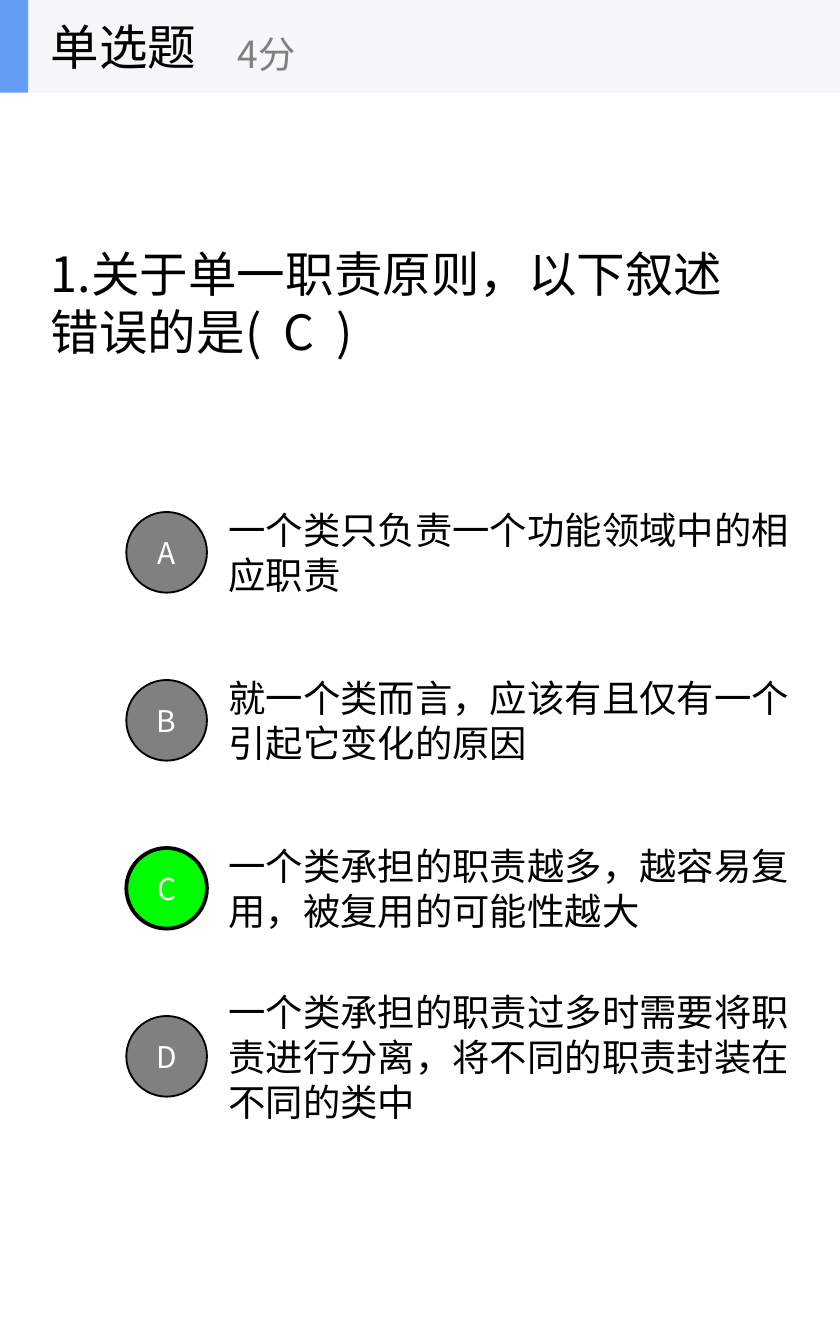
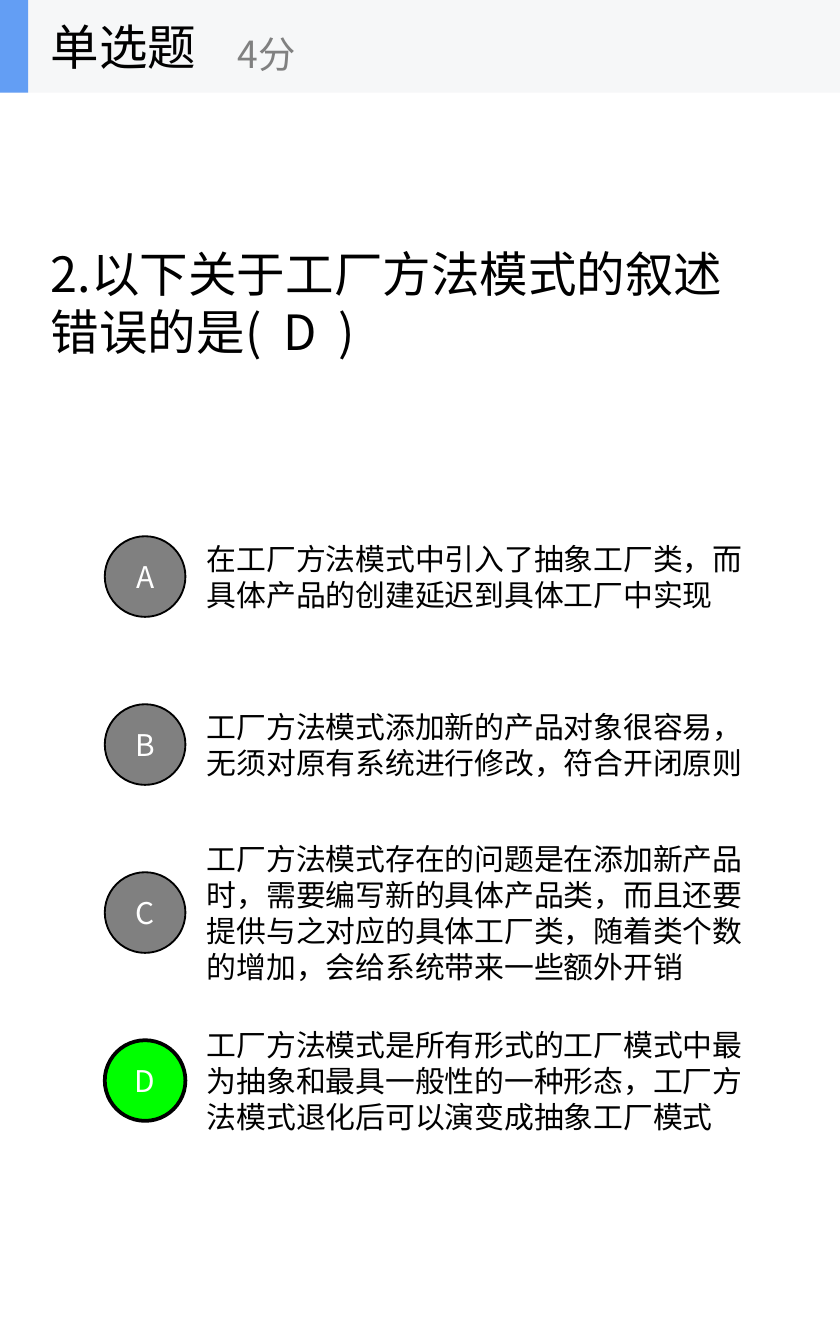
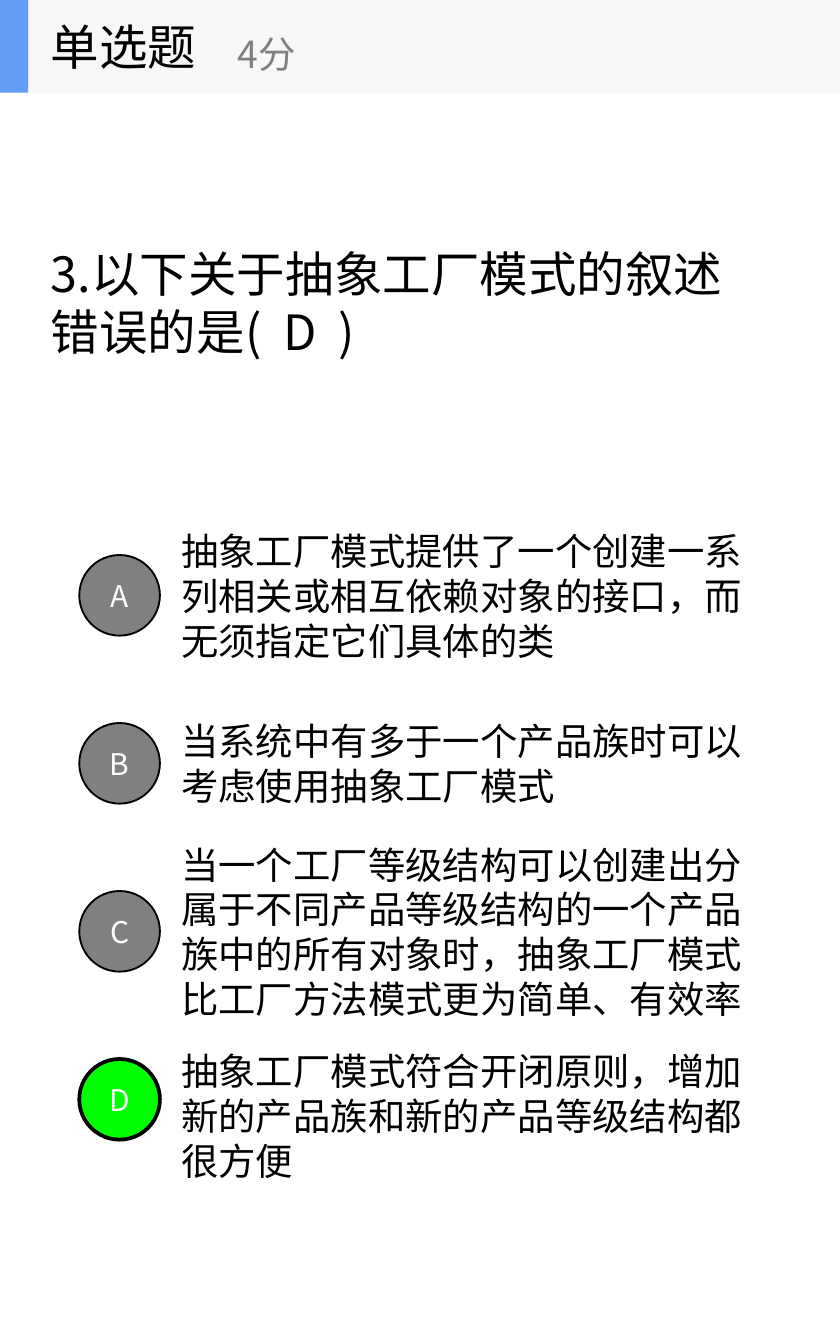
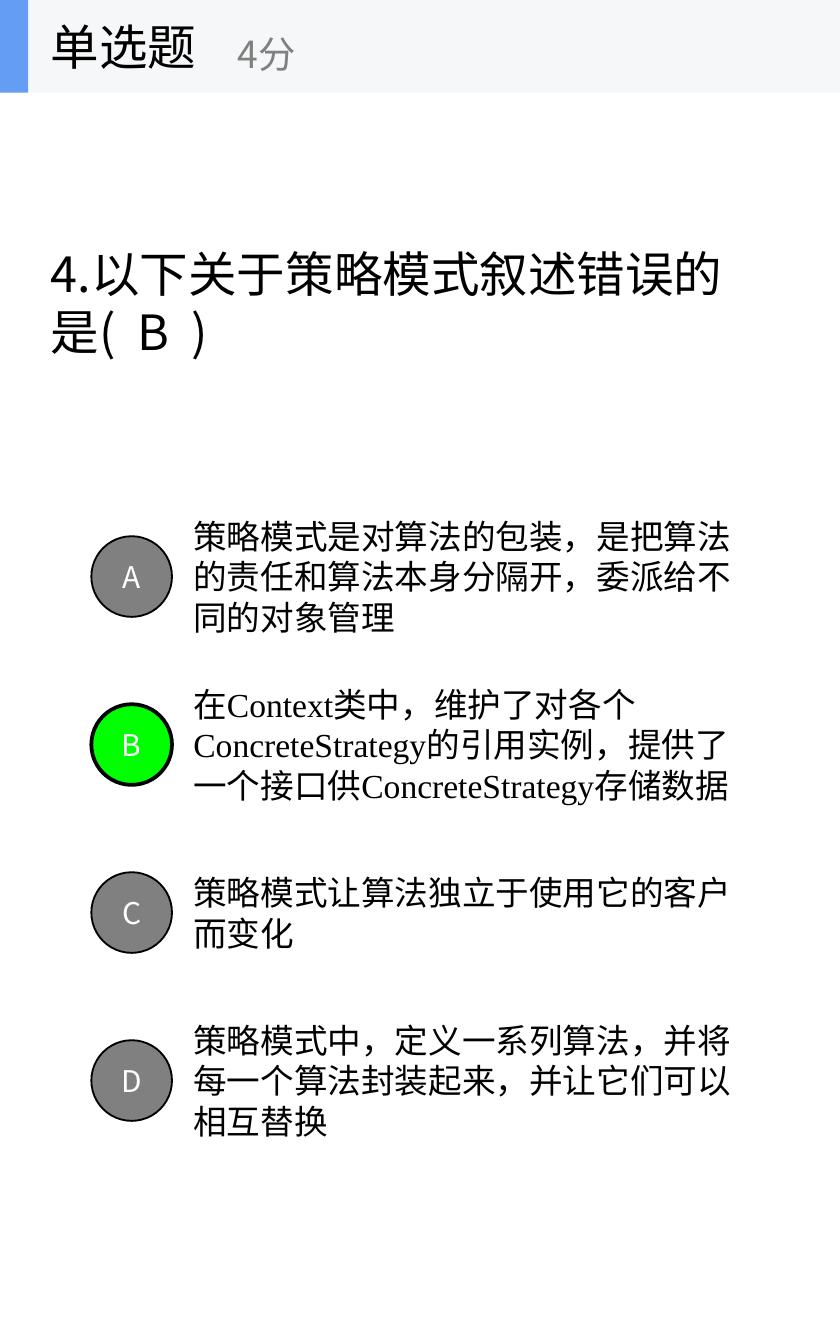
from dataclasses import dataclass

from lxml import etree
from pptx import Presentation
from pptx import util as u
from pptx.dml.color import RGBColor
from pptx.enum import lang, shapes, text
from pptx.oxml import ns


@dataclass(frozen=True)
class Theme:
    ink: str = "000000"
    muted: str = "808080"
    correct: str = "00FF00"
    inverse: str = "FFFFFF"
    band: str = "F6F7F8"
    accent: str = "639EF4"
    font: str = "Noto Sans CJK SC"
    latin_serif: str = "Times New Roman"
    title_size: int = 26
    points_size: int = 20
    badge_size: int = 16


@dataclass(frozen=True)
class Question:
    stem: str
    answer: str
    options: tuple
    left: float
    top: float
    size: int = 20
    font: str = "Noto Sans CJK SC"
    last_shift: float = 0


THEME = Theme()
SLIDE_WIDTH, SLIDE_HEIGHT = 6.25, 10
HEADER_HEIGHT = 0.69
TEXT_LEFT = 0.28
OPTION_STEP = 1.25
BADGE_DIAMETER = 0.6
BADGE_TO_TEXT = 0.66
BADGE_DROP = 0.17

QUESTIONS = (
    Question("1.关于单一职责原则，以下叙述错误的是(  C  )", "C", (
        "一个类只负责一个功能领域中的相应职责",
        "就一个类而言，应该有且仅有一个引起它变化的原因",
        "一个类承担的职责越多，越容易复用，被复用的可能性越大",
        "一个类承担的职责过多时需要将职责进行分离，将不同的职责封装在不同的类中",
    ), left=1.6, top=3.64),
    Question("2.以下关于工厂方法模式的叙述错误的是(  D  )", "D", (
        "在工厂方法模式中引入了抽象工厂类，而具体产品的创建延迟到具体工厂中实现",
        "工厂方法模式添加新的产品对象很容易，无须对原有系统进行修改，符合开闭原则",
        "工厂方法模式存在的问题是在添加新产品时，需要编写新的具体产品类，而且还要"
        "提供与之对应的具体工厂类，随着类个数的增加，会给系统带来一些额外开销",
        "工厂方法模式是所有形式的工厂模式中最为抽象和最具一般性的一种形态，"
        "工厂方法模式退化后可以演变成抽象工厂模式",
    ), left=1.44, top=3.82, size=16),
    Question("3.以下关于抽象工厂模式的叙述错误的是(  D  )", "D", (
        "抽象工厂模式提供了一个创建一系列相关或相互依赖对象的接口，而无须指定它们具体的类",
        "当系统中有多于一个产品族时可以考虑使用抽象工厂模式",
        "当一个工厂等级结构可以创建出分属于不同产品等级结构的一个产品族中的所有对象时，"
        "抽象工厂模式比工厂方法模式更为简单、有效率",
        "抽象工厂模式符合开闭原则，增加新的产品族和新的产品等级结构都很方便",
    ), left=1.25, top=3.96, last_shift=0.12),
    Question("4.以下关于策略模式叙述错误的是(  B  )", "B", (
        "策略模式是对算法的包装，是把算法的责任和算法本身分隔开，委派给不同的对象管理",
        "在Context类中，维护了对各个ConcreteStrategy的引用实例，"
        "提供了一个接口供ConcreteStrategy存储数据",
        "策略模式让算法独立于使用它的客户而变化",
        "策略模式中，定义一系列算法，并将每一个算法封装起来，并让它们可以相互替换",
    ), left=1.34, top=3.82, size=18, font=THEME.latin_serif),
)


def inches(*lengths):
    return [u.Inches(length) for length in lengths]


def write(frame, words, *, size, color=THEME.ink, font=THEME.font,
          align=text.PP_ALIGN.LEFT, wrap=True):
    frame.word_wrap = wrap
    frame.vertical_anchor = text.MSO_ANCHOR.MIDDLE
    paragraph = frame.paragraphs[0]
    paragraph.alignment = align
    run = paragraph.add_run()
    run.text = words
    run.font.size = u.Pt(size)
    run.font.name = font
    run.font.color.rgb = RGBColor.from_string(color)
    run.font.language_id = lang.MSO_LANGUAGE_ID.SIMPLIFIED_CHINESE
    east_asian = etree.SubElement(run._r.get_or_add_rPr(), ns.qn("a:ea"))
    east_asian.set("typeface", THEME.font)


def add_label(parent, words, place, **style):
    write(parent.add_textbox(*inches(*place)).text_frame, words, **style)


def add_filled(parent, kind, place, fill, line_width=0):
    figure = parent.add_shape(kind, *inches(*place))
    figure.shadow.inherit = False
    figure.fill.solid()
    figure.fill.fore_color.rgb = RGBColor.from_string(fill)
    if line_width:
        figure.line.color.rgb = RGBColor.from_string(THEME.ink)
        figure.line.width = u.Pt(line_width)
    else:
        figure.line.fill.background()
    return figure


def add_header(slide):
    header = slide.shapes.add_group_shape().shapes
    for width, fill in ((SLIDE_WIDTH, THEME.band), (0.21, THEME.accent)):
        add_filled(header, shapes.MSO_SHAPE.RECTANGLE,
                   (0, 0, width, HEADER_HEIGHT), fill)
    add_label(header, "单选题", (TEXT_LEFT, 0, 2.08, HEADER_HEIGHT),
              size=THEME.title_size, wrap=False)
    add_label(header, "4分", (1.67, 0.12, 2.5, 0.56),
              size=THEME.points_size, color=THEME.muted, wrap=False)


def add_badge(slide, letter, left, top, is_answer):
    fill, line_width = (THEME.correct, 2) if is_answer else (THEME.muted, 1)
    badge = add_filled(slide.shapes, shapes.MSO_SHAPE.OVAL,
                       (left, top, BADGE_DIAMETER, BADGE_DIAMETER), fill, line_width)
    write(badge.text_frame, letter, size=THEME.badge_size,
          color=THEME.inverse, align=text.PP_ALIGN.CENTER)


def add_options(slide, question):
    tops = [question.top + row * OPTION_STEP for row in range(len(question.options))]
    shifts = [0] * (len(tops) - 1) + [question.last_shift]
    for option, top, shift in zip(question.options, tops, shifts):
        add_label(slide.shapes, option, (question.left, top + shift, 4.38, 0.94),
                  size=question.size, font=question.font)
    for letter, top in zip("ABCD", tops):
        add_badge(slide, letter, question.left - BADGE_TO_TEXT, top + BADGE_DROP,
                  letter == question.answer)


def main():
    deck = Presentation()
    deck.slide_width, deck.slide_height = inches(SLIDE_WIDTH, SLIDE_HEIGHT)
    blank = deck.slide_layouts[6]
    for question in QUESTIONS:
        slide = deck.slides.add_slide(blank)
        add_label(slide.shapes, question.stem, (TEXT_LEFT, HEADER_HEIGHT, 5.35, 3.12),
                  size=THEME.title_size)
        add_options(slide, question)
        add_header(slide)
    deck.save("out.pptx")


if __name__ == "__main__":
    main()
